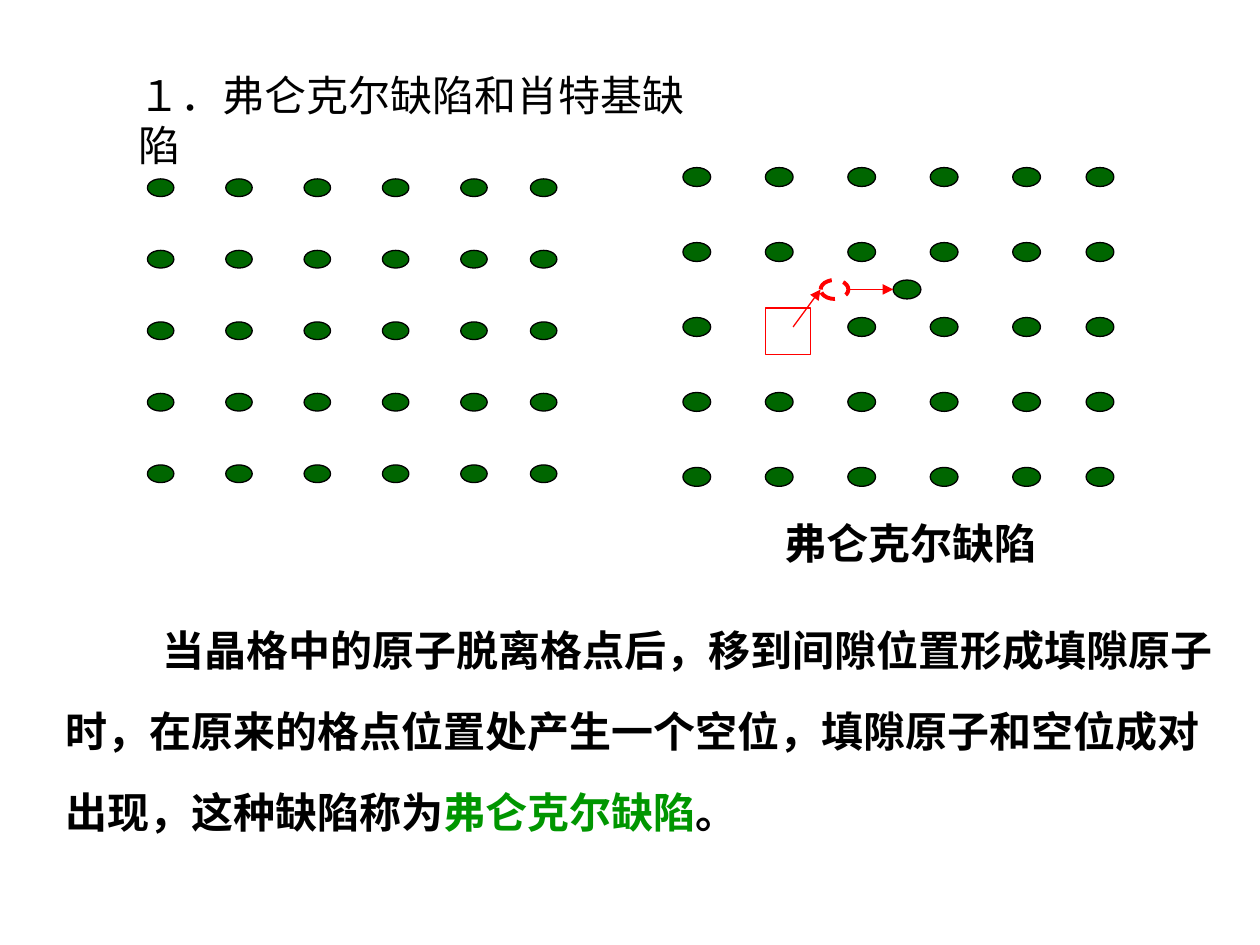
from dataclasses import dataclass

import pptx
import pptx.dml.color
import pptx.enum.dml
import pptx.enum.shapes
import pptx.enum.text
import pptx.oxml
import pptx.oxml.ns
import pptx.util

Inches = pptx.util.Inches
Pt = pptx.util.Pt
Shape = pptx.enum.shapes.MSO_SHAPE

COLORS = {"text": "000000", "term": "009600", "atom": "006600", "path": "FF0000"}
FONT = "Times New Roman"
FONT_SIZE = 24
ROWS = range(5)
COLUMNS = (0, 1, 2, 3, 4, 4.89)  # the last column stands closer


@dataclass(frozen=True)
class Lattice:
    """A grid of atoms; left and top are those of the first atom, in inches."""
    left: float
    top: float
    width: float
    height: float
    atom_width: float
    atom_height: float

    def corner(self, column: float, row: float) -> tuple[float, float]:
        return (self.left + self.width * column / COLUMNS[-1],
                self.top + self.height * row / ROWS[-1])

    def point(self, column: float, row: float, across: float = 0.5) -> tuple[float, float]:
        """A point at mid-height of the atom, at a share of its width."""
        x, y = self.corner(column, row)
        return x + self.atom_width * across, y + self.atom_height / 2


@dataclass(frozen=True)
class Span:
    text: str
    color: str = "text"


PERFECT = Lattice(1.17, 1.42, 3.04, 2.27, 0.21, 0.14)
DEFECTIVE = Lattice(5.42, 1.33, 3.2, 2.38, 0.22, 0.15)
VACANCY = (1, 2)
PASSAGE = (1.67, 1.5)
INTERSTITIAL = (2.55, 1.5)


def color(name: str) -> pptx.dml.color.RGBColor:
    return pptx.dml.color.RGBColor.from_string(COLORS[name])


def add_text(shapes, left: float, top: float, width: float, height: float,
             spans: list[Span], bold: bool = True, wrap: bool = False):
    box = shapes.add_textbox(Inches(left), Inches(top), Inches(width), Inches(height))
    frame = box.text_frame
    frame.word_wrap = wrap
    frame.auto_size = pptx.enum.text.MSO_AUTO_SIZE.SHAPE_TO_FIT_TEXT
    paragraph = frame.paragraphs[0]
    for span in spans:
        run = paragraph.add_run()
        run.text = span.text
        run.font.name = FONT
        run.font.size = Pt(FONT_SIZE)
        run.font.bold = bold
        run.font.color.rgb = color(span.color)
    return paragraph


def add_outline(shapes, kind, corner: tuple[float, float], width: float, height: float,
                line: str, weight: float = 0.75):
    """Add an unfilled shape."""
    shape = shapes.add_shape(kind, *map(Inches, (*corner, width, height)))
    shape.shadow.inherit = False
    shape.fill.background()
    shape.line.color.rgb = color(line)
    shape.line.width = Pt(weight)
    return shape


def add_atom(shapes, lattice: Lattice, column: float, row: float) -> None:
    atom = add_outline(shapes, Shape.OVAL, lattice.corner(column, row),
                       lattice.atom_width, lattice.atom_height, "text")
    atom.fill.solid()
    atom.fill.fore_color.rgb = color("atom")


def add_lattice(shapes, lattice: Lattice, vacancy: tuple[int, int] | None = None) -> None:
    for row in ROWS:
        for column in COLUMNS:
            if (column, row) != vacancy:
                add_atom(shapes, lattice, column, row)


def add_arrow(shapes, start: tuple[float, float], end: tuple[float, float]) -> None:
    arrow = shapes.add_connector(pptx.enum.shapes.MSO_CONNECTOR.STRAIGHT,
                                 *map(Inches, (*start, *end)))
    arrow.line.color.rgb = color("path")
    arrow.line.width = Pt(0.75)
    namespace = pptx.oxml.ns.nsdecls("a")
    arrow.line._get_or_add_ln().append(
        pptx.oxml.parse_xml(f'<a:tailEnd {namespace} type="triangle"/>'))
    arrow._element.spPr.append(pptx.oxml.parse_xml(f"<a:effectLst {namespace}/>"))


def add_frenkel_defect(shapes, lattice: Lattice) -> None:
    """Draw the lattice with an atom that left its site for an interstitial one."""
    add_atom(shapes, lattice, *INTERSTITIAL)
    add_lattice(shapes, lattice, VACANCY)
    left, middle = lattice.point(*VACANCY, across=0)
    add_outline(shapes, Shape.RECTANGLE, (left, middle - 0.15), 0.36, 0.37, "path")
    add_arrow(shapes, lattice.point(*VACANCY, across=1), lattice.point(*PASSAGE, across=0))
    passage = add_outline(shapes, Shape.OVAL, lattice.corner(*PASSAGE),
                          lattice.atom_width, lattice.atom_height, "path", 2.25)
    passage.line.dash_style = pptx.enum.dml.MSO_LINE.DASH
    add_arrow(shapes, lattice.point(*PASSAGE, across=1), lattice.point(*INTERSTITIAL, across=0))
    add_text(shapes, 6.13, 4.06, 2.2, 0.5, [Span("弗仑克尔缺陷")])


def main() -> None:
    deck = pptx.Presentation()
    deck.slide_width, deck.slide_height = Inches(10), Inches(7.5)
    page = deck.slides.add_slide(deck.slide_layouts[6])

    add_text(page.shapes, 1, 0.5, 4.86, 0.5,
             [Span("１．弗仑克尔缺陷和肖特基缺陷")], bold=False)
    explanation = add_text(page.shapes, 0.42, 4.67, 9.33, 2.02, [
        Span("当晶格中的原子脱离格点后，移到间隙位置形成填隙原子时，"
             "在原来的格点位置处产生一个空位，填隙原子和空位成对出现，这种缺陷称为"),
        Span("弗仑克尔缺陷", "term"),
        Span("。"),
    ], wrap=True)
    explanation.line_spacing = 1.6
    explanation._p.get_or_add_pPr().set("indent", str(Inches(0.77)))

    add_lattice(page.shapes.add_group_shape().shapes, PERFECT)
    add_frenkel_defect(page.shapes.add_group_shape().shapes, DEFECTIVE)
    deck.save("out.pptx")


if __name__ == "__main__":
    main()
